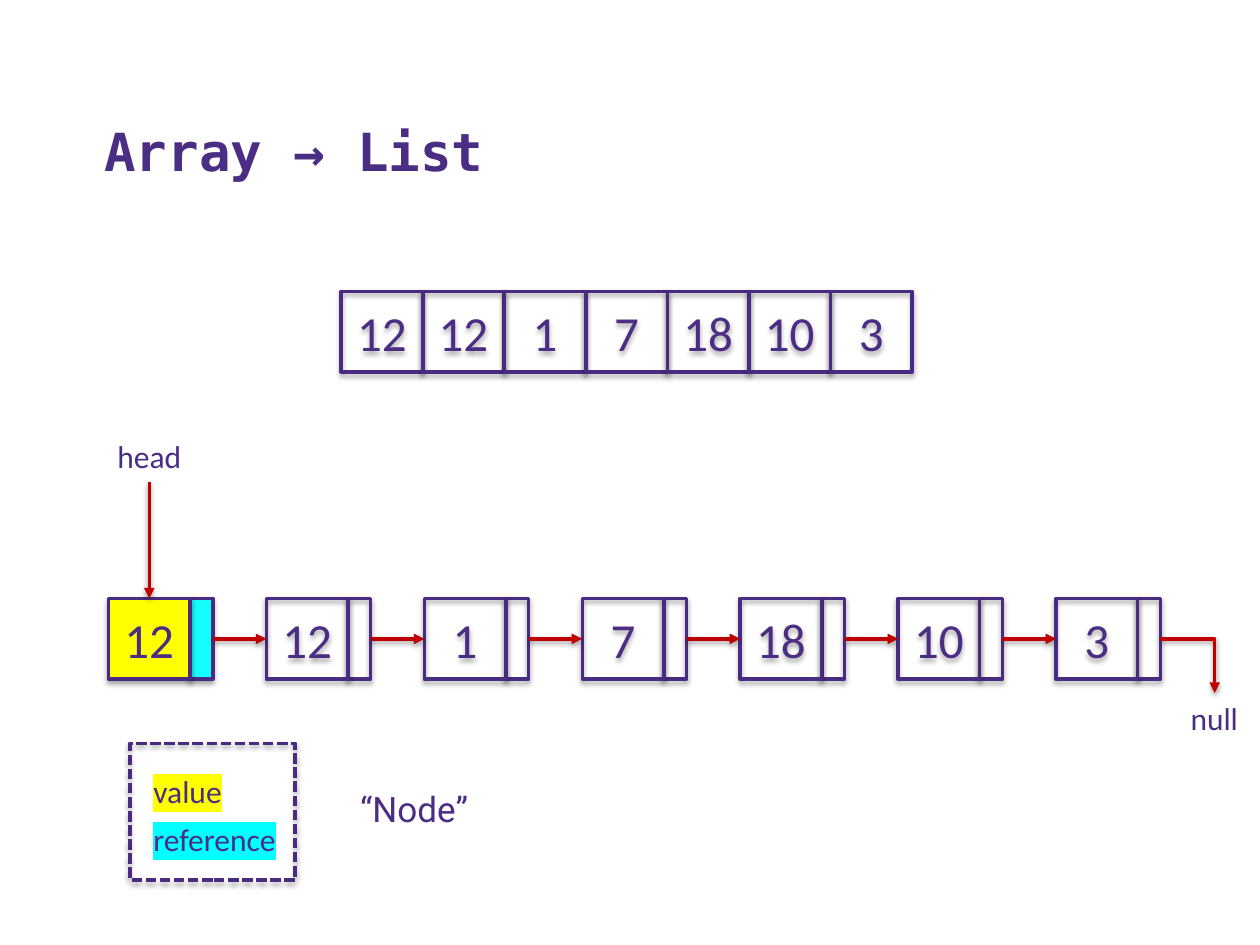
from dataclasses import dataclass
from typing import Optional

from lxml import etree
from pptx import Presentation
from pptx import util as u
from pptx.dml.color import RGBColor
from pptx.enum import dml, shapes, text
from pptx.oxml.ns import qn

INK, EDGE, ARROW = "4B2E83", "492B82", "C00000"
YELLOW, CYAN = "FFFF00", "15FEFF"
VALUES = (12, 12, 1, 7, 18, 10, 3)
CELL_W, CELL_H, REF_W = 46.6, 46.1, 13
ARRAY_LEFT, ARRAY_TOP = 195, 166.5
LIST_LEFT, LIST_TOP, NODE_STEP = 62, 342, 90.25


@dataclass
class Box:
    left: float
    top: float
    width: float
    height: float

    def lengths(self):
        return [u.Pt(n) for n in (self.left, self.top, self.width, self.height)]


@dataclass
class Label:
    words: str
    box: Box
    size: float = 18
    font: str = "Calibri"
    bold: bool = False
    highlight: Optional[str] = None
    wrap: bool = False
    centred: bool = False
    at_bottom: bool = False


LABELS = (
    Label("Array → List", Box(52.5, 29.5, 644.5, 77.8), 30, "DejaVu Sans Mono",
          bold=True, wrap=True, at_bottom=True),
    Label("reference", Box(80.6, 465.1, 85, 29), highlight="00FFFF"),
    Label("value", Box(80.6, 437.8, 54, 29), highlight=YELLOW),
    Label("“Node”", Box(198.7, 446.4, 90.7, 31.7), 20, "Roboto"),
    Label("null", Box(673.2, 396, 41.8, 29)),
)
HEAD = Label("head", Box(55.8, 246.2, 59, 29), wrap=True, centred=True)


def colour(code: str) -> RGBColor:
    return RGBColor.from_string(code)


def add_shadow(spPr, alpha: int, distance: float):
    """Put a soft black shadow straight below the object."""
    effects = spPr.find(qn("a:effectLst"))
    if effects is None:
        effects = etree.SubElement(spPr, qn("a:effectLst"))
    shadow = etree.SubElement(
        effects, qn("a:outerShdw"), blurRad=str(u.Pt(3.1)),
        dist=str(u.Pt(distance)), dir="5400000", rotWithShape="0")
    black = etree.SubElement(shadow, qn("a:srgbClr"), val="000000")
    etree.SubElement(black, qn("a:alpha"), val=str(alpha * 1000))


def add_span(para, words: str, size: float, font="Calibri", bold=False):
    span = para.add_run()
    span.text = words
    span.font.size = u.Pt(size)
    span.font.name = font
    span.font.bold = bold
    span.font.color.rgb = colour(INK)
    return span


def add_label(page, label: Label):
    box = page.shapes.add_textbox(*label.box.lengths())
    frame = box.text_frame
    frame.word_wrap = label.wrap
    if label.at_bottom:
        frame.vertical_anchor = text.MSO_ANCHOR.BOTTOM
    para = frame.paragraphs[0]
    if label.centred:
        para.alignment = text.PP_ALIGN.CENTER
    span = add_span(para, label.words, label.size, label.font, label.bold)
    if label.highlight:
        marker = etree.Element(qn("a:highlight"))
        etree.SubElement(marker, qn("a:srgbClr"), val=label.highlight)
        span.font._element.find(qn("a:solidFill")).addnext(marker)
    return box


def add_rectangle(page, box: Box, words="", fill: Optional[str] = None):
    rectangle = page.shapes.add_shape(shapes.MSO_SHAPE.RECTANGLE, *box.lengths())
    if fill:
        rectangle.fill.solid()
        rectangle.fill.fore_color.rgb = colour(fill)
    else:
        rectangle.fill.background()
    rectangle.line.color.rgb = colour(EDGE)
    rectangle.line.width = u.Pt(2)
    rectangle.shadow.inherit = False
    add_shadow(rectangle._element.spPr, 35, 1.8)
    if words:
        frame = rectangle.text_frame
        frame.vertical_anchor = text.MSO_ANCHOR.MIDDLE
        para = frame.paragraphs[0]
        para.alignment = text.PP_ALIGN.CENTER
        add_span(para, words, 28)
    return rectangle


def add_arrow(page, kind, left=0.0, top=0.0, right=0.0, bottom=0.0):
    arrow = page.shapes.add_connector(
        kind, u.Pt(left), u.Pt(top), u.Pt(right), u.Pt(bottom))
    arrow.line.color.rgb = colour(ARROW)
    arrow.line.width = u.Pt(2)
    spPr = arrow._element.spPr
    etree.SubElement(spPr.find(qn("a:ln")), qn("a:tailEnd"), type="triangle")
    add_shadow(spPr, 38, 1.6)
    return arrow


def join(page, start, start_side: int, end, end_side: int):
    """Draw a straight arrow between the sides of two boxes."""
    arrow = add_arrow(page, shapes.MSO_CONNECTOR.STRAIGHT)
    arrow.begin_connect(start, start_side)
    arrow.end_connect(end, end_side)


def add_array(page):
    for index, value in enumerate(VALUES):
        left = ARRAY_LEFT + index * CELL_W
        add_rectangle(page, Box(left, ARRAY_TOP, CELL_W, CELL_H), str(value))


def add_list(page):
    nodes = []
    for index, value in enumerate(VALUES):
        left = LIST_LEFT + index * NODE_STEP
        fills = (YELLOW, CYAN) if index == 0 else (None, None)
        reference = add_rectangle(
            page, Box(left + CELL_W, LIST_TOP, REF_W, CELL_H), fill=fills[1])
        cell = add_rectangle(
            page, Box(left, LIST_TOP, CELL_W, CELL_H), str(value), fills[0])
        nodes.append((cell, reference))
    for (_, reference), (following, _) in zip(nodes, nodes[1:]):
        join(page, reference, 3, following, 1)
    join(page, add_label(page, HEAD), 2, nodes[0][0], 0)

    end = LIST_LEFT + (len(VALUES) - 1) * NODE_STEP + CELL_W + REF_W
    middle = LIST_TOP + CELL_H / 2
    to_null = add_arrow(page, shapes.MSO_CONNECTOR.ELBOW,
                        end, middle, end + 31, middle + 31)
    to_null._element.spPr.find(qn("a:prstGeom")).set("prst", "bentConnector2")


def main():
    deck = Presentation()
    deck.slide_width, deck.slide_height = u.Pt(720), u.Pt(540)
    page = deck.slides.add_slide(deck.slide_layouts[6])
    add_array(page)
    add_list(page)
    for label in LABELS:
        add_label(page, label)
    node_frame = add_rectangle(page, Box(74.2, 424.8, 94.5, 78))
    node_frame.line.dash_style = dml.MSO_LINE.SQUARE_DOT
    deck.save("out.pptx")


if __name__ == "__main__":
    main()
